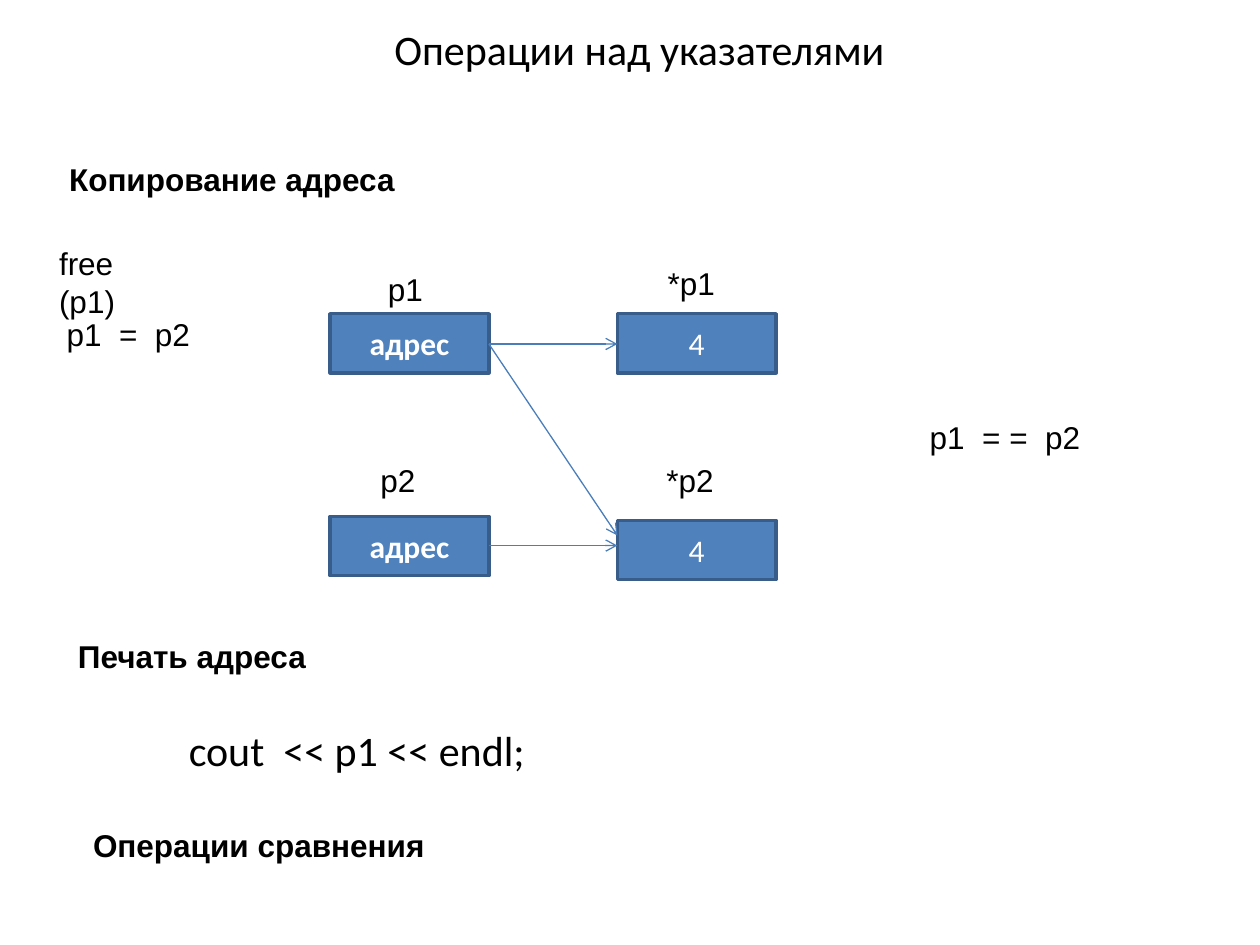
from lxml import etree
from pptx import Presentation
from pptx.dml.color import RGBColor
from pptx.enum import shapes, text
from pptx.oxml.ns import qn
from pptx.util import Inches, Pt

COLORS = {
    "ink": "000000",
    "box": "4F81BD",
    "border": "385D8A",
    "arrow": "4A7EBB",
    "box_text": "FFFFFF",
}
BOX_WIDTH, BOX_HEIGHT = 1.26, 0.47
POINTER_X, VALUE_X = 2.62, 4.9


def rgb(name):
    return RGBColor.from_string(COLORS[name])


def write(frame, words, size=18, font="Arial", color="ink", bold=False,
          align=text.PP_ALIGN.LEFT, spacing=None):
    paragraph = frame.paragraphs[0]
    paragraph.alignment = align
    if spacing:
        paragraph.line_spacing = spacing
    run = paragraph.add_run()
    run.text = words
    run.font.size = Pt(size)
    run.font.name = font
    run.font.bold = bold
    run.font.color.rgb = rgb(color)


class PointerSlide:
    """Holds the current slide and the style of its elements."""

    def __init__(self, slide):
        self.slide = slide

    def title(self, words, left, top, width, height):
        heading = self.slide.shapes.title
        heading.left, heading.top = Inches(left), Inches(top)
        heading.width, heading.height = Inches(width), Inches(height)
        frame = heading.text_frame
        frame.word_wrap = False
        frame.auto_size = text.MSO_AUTO_SIZE.SHAPE_TO_FIT_TEXT
        frame.vertical_anchor = text.MSO_ANCHOR.TOP
        write(frame, words, size=24, font="Calibri")

    def label(self, words, left, top, width, height=0.4, wrap=False, **style):
        frame = self.slide.shapes.add_textbox(
            Inches(left), Inches(top), Inches(width), Inches(height)).text_frame
        frame.word_wrap = wrap
        frame.auto_size = text.MSO_AUTO_SIZE.SHAPE_TO_FIT_TEXT
        write(frame, words, **style)

    def memory_box(self, words, left, top, bold=False):
        cell = self.slide.shapes.add_shape(
            shapes.MSO_SHAPE.RECTANGLE, Inches(left), Inches(top),
            Inches(BOX_WIDTH), Inches(BOX_HEIGHT))
        cell.shadow.inherit = False
        cell.fill.solid()
        cell.fill.fore_color.rgb = rgb("box")
        cell.line.color.rgb = rgb("border")
        cell.line.width = Pt(2)
        cell.text_frame.vertical_anchor = text.MSO_ANCHOR.MIDDLE
        write(cell.text_frame, words, font="Calibri", color="box_text",
              bold=bold, align=text.PP_ALIGN.CENTER)

    def arrow(self, start_y, end_y):
        """Arrow from the pointer column to the value column."""
        link = self.slide.shapes.add_connector(
            shapes.MSO_CONNECTOR.STRAIGHT,
            Inches(POINTER_X + BOX_WIDTH), Inches(start_y),
            Inches(VALUE_X), Inches(end_y))
        link.line.color.rgb = rgb("arrow")
        link.line.width = Pt(0.75)
        etree.SubElement(link.line._get_or_add_ln(), qn("a:tailEnd"), type="arrow")
        etree.SubElement(link._element.spPr, qn("a:effectLst"))


def main():
    deck = Presentation()
    deck.slide_width, deck.slide_height = Inches(10), Inches(7.5)
    page = PointerSlide(deck.slides.add_slide(deck.slide_layouts[5]))

    page.title("Операции над указателями", 3.03, 0.14, 4.1, 0.5)

    for section, left, top, width in (
            ("Копирование адреса", 0.45, 1.22, 2.79),
            ("Печать адреса", 0.52, 5.01, 2.01),
            ("Операции сравнения", 0.64, 6.51, 2.83)):
        page.label(section, left, top, width, bold=True)

    for pointer_top, value_top in ((2.49, 2.49), (4.1, 4.13)):
        page.memory_box("адрес", POINTER_X, pointer_top, bold=True)
        page.memory_box("4", VALUE_X, value_top)

    for start_y, end_y in ((2.73, 2.73), (2.73, 4.25), (4.33, 4.33)):
        page.arrow(start_y, end_y)

    for variable, left, top in (
            ("p1", 2.98, 2.09), ("*p1", 5.2, 2.05),
            ("p2", 2.92, 3.61), ("*p2", 5.19, 3.61)):
        page.label(variable, left, top, 0.66, wrap=True)

    page.label("free  (p1)", 0.37, 1.89, 1.21)
    page.label("p1  =  p2", 0.43, 2.45, 1.98, wrap=True)
    page.label("p1  = =  p2", 7.28, 3.27, 1.98, wrap=True)
    page.label("cout  << р1 << endl;", 1.4, 5.64, 2.87, 0.56,
               size=24, font="Calibri", spacing=1.15)

    deck.save("out.pptx")


if __name__ == "__main__":
    main()
